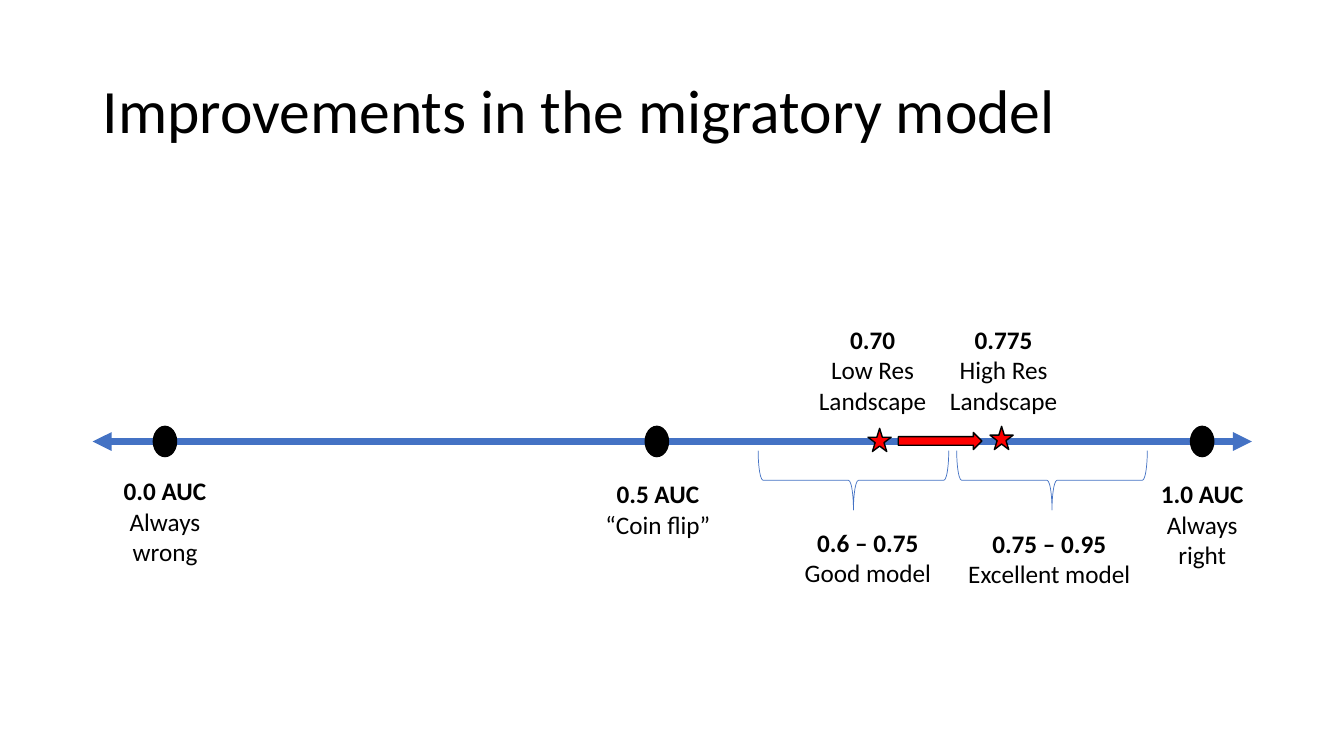
from dataclasses import dataclass
from typing import Optional

from lxml.etree import SubElement
from pptx import Presentation
from pptx.dml.color import RGBColor
from pptx.enum.shapes import MSO_CONNECTOR as Wire, MSO_SHAPE as Kind
from pptx.enum.text import MSO_ANCHOR as Anchor, MSO_AUTO_SIZE as Fit, PP_ALIGN as Align
from pptx.oxml.ns import qn
from pptx.util import Inches, Pt

BLACK = RGBColor(0x00, 0x00, 0x00)
BLUE = RGBColor(0x44, 0x72, 0xC4)
RED = RGBColor(0xFF, 0x00, 0x00)
FONT = "Calibri"
WIDTH, HEIGHT = Inches(13.33), Inches(7.5)
COL, ROW = WIDTH / 40, HEIGHT / 30
AXIS = 17.52


@dataclass
class Mark:
    kind: Kind
    mid: float
    row: float
    cols: float
    rows: float
    fill: Optional[RGBColor]
    line: RGBColor = BLACK
    weight: float = 1
    turn: float = 0


@dataclass
class Label:
    mid: float
    top: float
    cols: float
    rows: float
    value: str
    note: str


def dot(mid: float) -> Mark:
    return Mark(Kind.OVAL, mid, AXIS, 0.69, 1.2, BLACK)


def star(mid: float, row: float) -> Mark:
    return Mark(Kind.STAR_5_POINT, mid, row, 0.69, 0.92, RED)


def brace(mid: float) -> Mark:
    return Mark(Kind.LEFT_BRACE, mid, 19.06, 1.77, 7.56, None, BLUE, 0.5, 270)


POINTS = [dot(4.91), dot(19.55), dot(35.78)]
RANGES = [brace(25.4), brace(31.31)]
GAINS = [
    Mark(Kind.RIGHT_ARROW, 27.98, 17.5, 2.49, 0.68, RED),
    star(26.18, 17.46),
    star(29.81, 17.38),
]
LABELS = [
    Label(4.91, 18.68, 3.63, 4.04, "0.0 AUC", "Always wrong"),
    Label(35.78, 18.8, 3.63, 4.04, "1.0 AUC", "Always right"),
    Label(19.58, 18.8, 4.11, 2.84, "0.5 AUC", "“Coin flip”"),
    Label(25.83, 20.72, 4.86, 2.84, "0.6 – 0.75", "Good model"),
    Label(31.23, 20.76, 5.46, 2.84, "0.75 – 0.95", "Excellent model"),
    Label(25.97, 12.68, 4.47, 4.04, "0.70", "Low Res Landscape"),
    Label(29.87, 12.68, 4.47, 4.04, "0.775", "High Res Landscape"),
]


def place(mid: float, top: float, cols: float, rows: float) -> list[int]:
    return [int((mid - cols / 2) * COL), int(top * ROW), int(cols * COL), int(rows * ROW)]


def style(para, size: float, bold: bool) -> None:
    for run in para.runs:
        font = run.font
        font.name, font.size, font.bold = FONT, Pt(size), bold
        font.color.rgb = BLACK


def draw_title(slide, text: str) -> None:
    frame = slide.shapes.add_textbox(*place(20.01, 1.6, 34.5, 5.8)).text_frame
    frame.word_wrap = True
    frame.vertical_anchor = Anchor.MIDDLE
    frame.text = text
    para = frame.paragraphs[0]
    para.line_spacing = 0.9
    style(para, 44, False)


def draw_axis(slide) -> None:
    level = int(AXIS * ROW)
    axis = slide.shapes.add_connector(
        Wire.STRAIGHT, int(2.76 * COL), level, int(37.26 * COL), level)
    axis.line.color.rgb = BLUE
    axis.line.width = Pt(4.5)
    line = axis.line._get_or_add_ln()
    for end in ("a:headEnd", "a:tailEnd"):
        SubElement(line, qn(end), type="triangle")
    SubElement(axis._element.spPr, qn("a:effectLst"))


def draw_mark(slide, mark: Mark) -> None:
    top = mark.row - mark.rows / 2
    shape = slide.shapes.add_shape(mark.kind, *place(mark.mid, top, mark.cols, mark.rows))
    shape.shadow.inherit = False
    shape.rotation = mark.turn
    if mark.fill is None:
        shape.fill.background()
    else:
        shape.fill.solid()
        shape.fill.fore_color.rgb = mark.fill
    shape.line.color.rgb = mark.line
    shape.line.width = Pt(mark.weight)


def draw_label(slide, label: Label) -> None:
    spot = place(label.mid, label.top, label.cols, label.rows)
    frame = slide.shapes.add_textbox(*spot).text_frame
    frame.word_wrap = True
    frame.auto_size = Fit.SHAPE_TO_FIT_TEXT
    frame.text = f"{label.value}\n{label.note}"
    for para, bold in zip(frame.paragraphs, (True, False)):
        para.alignment = Align.CENTER
        style(para, 18, bold)


def main() -> None:
    deck = Presentation()
    deck.slide_width, deck.slide_height = WIDTH, HEIGHT
    slide = deck.slides.add_slide(deck.slide_layouts[6])
    draw_title(slide, "Improvements in the migratory model")
    draw_axis(slide)
    for mark in POINTS + RANGES:
        draw_mark(slide, mark)
    for label in LABELS:
        draw_label(slide, label)
    for mark in GAINS:
        draw_mark(slide, mark)
    deck.save("out.pptx")


if __name__ == "__main__":
    main()
